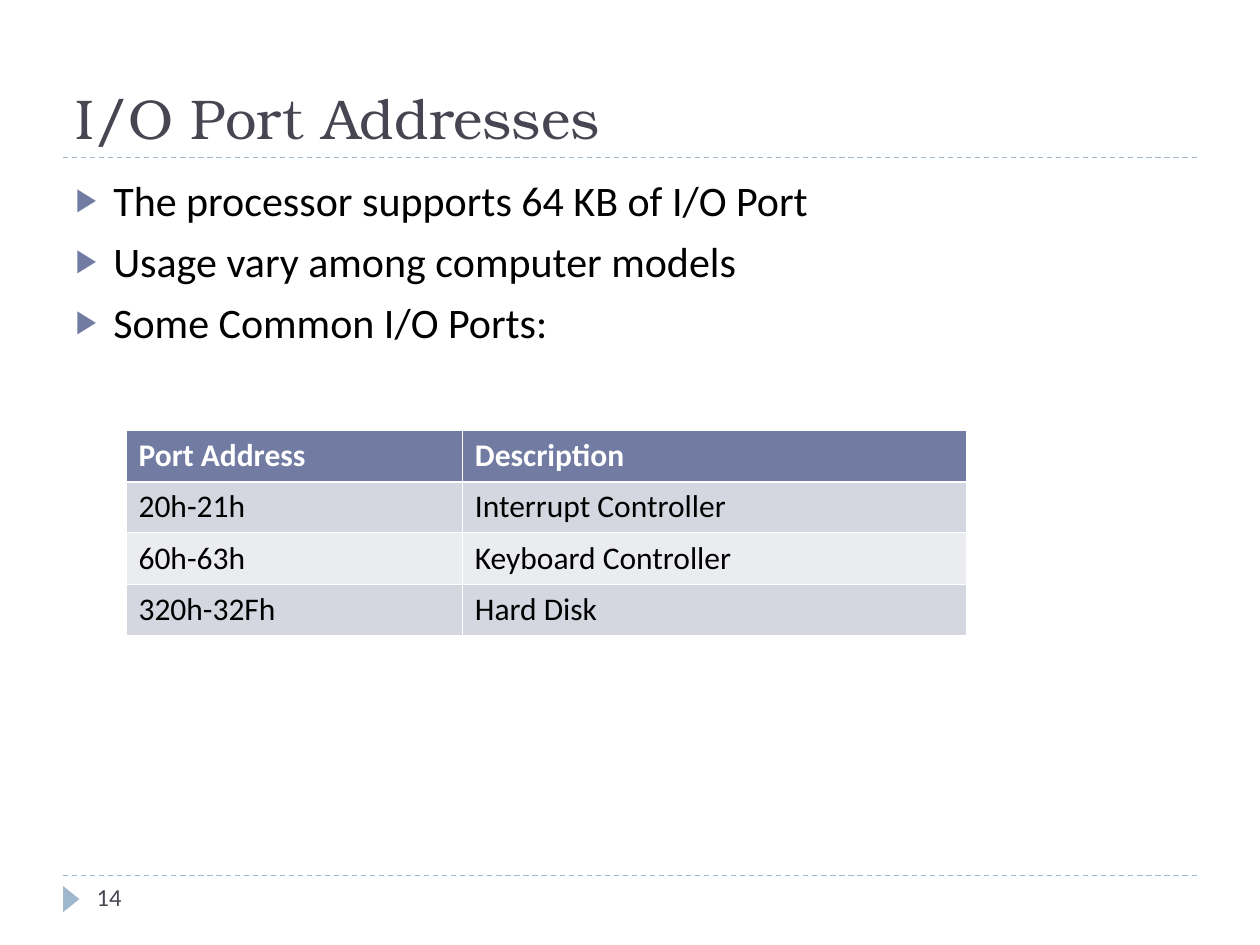
from dataclasses import dataclass

from lxml.etree import SubElement
from pptx import Presentation
from pptx.dml.color import RGBColor
from pptx.enum.dml import MSO_LINE
from pptx.enum.shapes import MSO_CONNECTOR, MSO_SHAPE
from pptx.enum.text import MSO_ANCHOR, MSO_AUTO_SIZE, PP_ALIGN
from pptx.oxml.ns import qn
from pptx.util import Cm, Pt

TITLE = "I/O Port Addresses"
BULLETS = [
    "The processor supports 64 KB of I/O Port",
    "Usage vary among computer models",
    "Some Common I/O Ports:",
]
PORTS = [
    ("Port Address", "Description"),
    ("20h-21h", "Interrupt Controller"),
    ("60h-63h", "Keyboard Controller"),
    ("320h-32Fh", "Hard Disk"),
]
SLIDE_NUMBER = "14"
COLUMN_WIDTHS = (6.78, 10.16)
ROW_HEIGHT = 1.03
MARGIN = 1.27
CONTENT_WIDTH = 22.86
RULE_TOPS = (17.65, 3.18)


@dataclass(frozen=True)
class Theme:
    heading_font: str = "TeX Gyre Bonum"
    body_font: str = "Calibri"
    title_size: int = 32
    body_size: int = 24
    table_size: int = 18
    number_size: int = 14
    heading: str = "464653"
    text: str = "000000"
    white: str = "FFFFFF"
    accent: str = "727CA3"
    rule: str = "9FB8CD"
    bands: tuple = ("EBECF0", "D5D7E0")
    thin: float = 0.45
    thick: float = 1.47


THEME = Theme()


def color(value):
    return RGBColor.from_string(value)


def write(paragraph, text, size, ink=THEME.text, font=THEME.body_font, bold=False):
    paragraph.text = text
    paragraph.alignment = PP_ALIGN.LEFT
    paragraph.font.name = font
    paragraph.font.size = Pt(size)
    paragraph.font.bold = bold
    paragraph.font.color.rgb = color(ink)


def place(shape, left, top, width, height):
    shape.left, shape.top = Cm(left), Cm(top)
    shape.width, shape.height = Cm(width), Cm(height)


def add_bullet(paragraph):
    properties = paragraph._p.get_or_add_pPr()
    properties.set("marL", str(Cm(0.76)))
    properties.set("indent", str(-Cm(0.76)))
    bullet_color = SubElement(properties, qn("a:buClr"))
    SubElement(bullet_color, qn("a:srgbClr"), val=THEME.accent)
    SubElement(properties, qn("a:buSzPct"), val="76000")
    SubElement(properties, qn("a:buChar"), char="▶")


def add_rule(slide, top):
    rule = slide.shapes.add_connector(
        MSO_CONNECTOR.STRAIGHT, Cm(MARGIN), Cm(top), Cm(MARGIN + CONTENT_WIDTH), Cm(top)
    )
    rule.line.color.rgb = color(THEME.rule)
    rule.line.width = Pt(0.75)
    rule.line.dash_style = MSO_LINE.DASH
    SubElement(rule._element.spPr, qn("a:effectLst"))


def add_marker(slide):
    marker = slide.shapes.add_shape(
        MSO_SHAPE.ISOSCELES_TRIANGLE, Cm(1.17), Cm(17.96), Cm(0.53), Cm(0.33)
    )
    marker.rotation = 90
    marker.shadow.inherit = False
    marker.fill.solid()
    marker.fill.fore_color.rgb = color(THEME.rule)
    marker.line.fill.background()


def add_title(slide):
    title = slide.shapes.title
    place(title, MARGIN, 0.43, CONTENT_WIDTH, 2.74)
    title.text_frame.auto_size = MSO_AUTO_SIZE.NONE
    title.text_frame.vertical_anchor = MSO_ANCHOR.BOTTOM
    write(title.text_frame.paragraphs[0], TITLE, THEME.title_size,
          ink=THEME.heading, font=THEME.heading_font)


def add_body(slide):
    body = slide.placeholders[1]
    place(body, MARGIN, 3.39, CONTENT_WIDTH, 4.65)
    frame = body.text_frame
    frame.auto_size = MSO_AUTO_SIZE.NONE
    for index, text in enumerate(BULLETS):
        paragraph = frame.add_paragraph() if index else frame.paragraphs[0]
        add_bullet(paragraph)
        paragraph.space_before = Pt(6 if index else 0)
        write(paragraph, text, THEME.body_size)


def add_slide_number(slide):
    box = slide.shapes.add_textbox(Cm(1.7), Cm(17.65), Cm(5.51), Cm(1.02))
    box.text_frame.word_wrap = True
    write(box.text_frame.paragraphs[0], SLIDE_NUMBER, THEME.number_size, ink=THEME.heading)


def set_borders(cell, row):
    widths = {
        "L": THEME.thin,
        "R": THEME.thin,
        "T": THEME.thick if row == 1 else THEME.thin,
        "B": THEME.thick if row == 0 else THEME.thin,
    }
    properties = cell._tc.get_or_add_tcPr()
    for side, width in widths.items():
        border = SubElement(properties, qn(f"a:ln{side}"), w=str(Pt(width)))
        fill = SubElement(border, qn("a:solidFill"))
        SubElement(fill, qn("a:srgbClr"), val=THEME.white)


def add_port_table(slide):
    table = slide.shapes.add_table(
        len(PORTS), len(COLUMN_WIDTHS), Cm(2.54), Cm(8.68),
        Cm(sum(COLUMN_WIDTHS)), Cm(ROW_HEIGHT * len(PORTS)),
    ).table
    for column, width in zip(table.columns, COLUMN_WIDTHS):
        column.width = Cm(width)
    for row, values in enumerate(PORTS):
        header = row == 0
        for column, text in enumerate(values):
            cell = table.cell(row, column)
            set_borders(cell, row)
            cell.fill.solid()
            cell.fill.fore_color.rgb = color(THEME.accent if header else THEME.bands[row % 2])
            write(cell.text_frame.paragraphs[0], text, THEME.table_size,
                  ink=THEME.white if header else THEME.text, bold=header)


def main():
    presentation = Presentation()
    presentation.slide_width, presentation.slide_height = Cm(25.4), Cm(19.05)
    slide = presentation.slides.add_slide(presentation.slide_layouts[1])
    for top in RULE_TOPS:
        add_rule(slide, top)
    add_marker(slide)
    add_title(slide)
    add_body(slide)
    add_slide_number(slide)
    add_port_table(slide)
    presentation.save("out.pptx")


if __name__ == "__main__":
    main()
